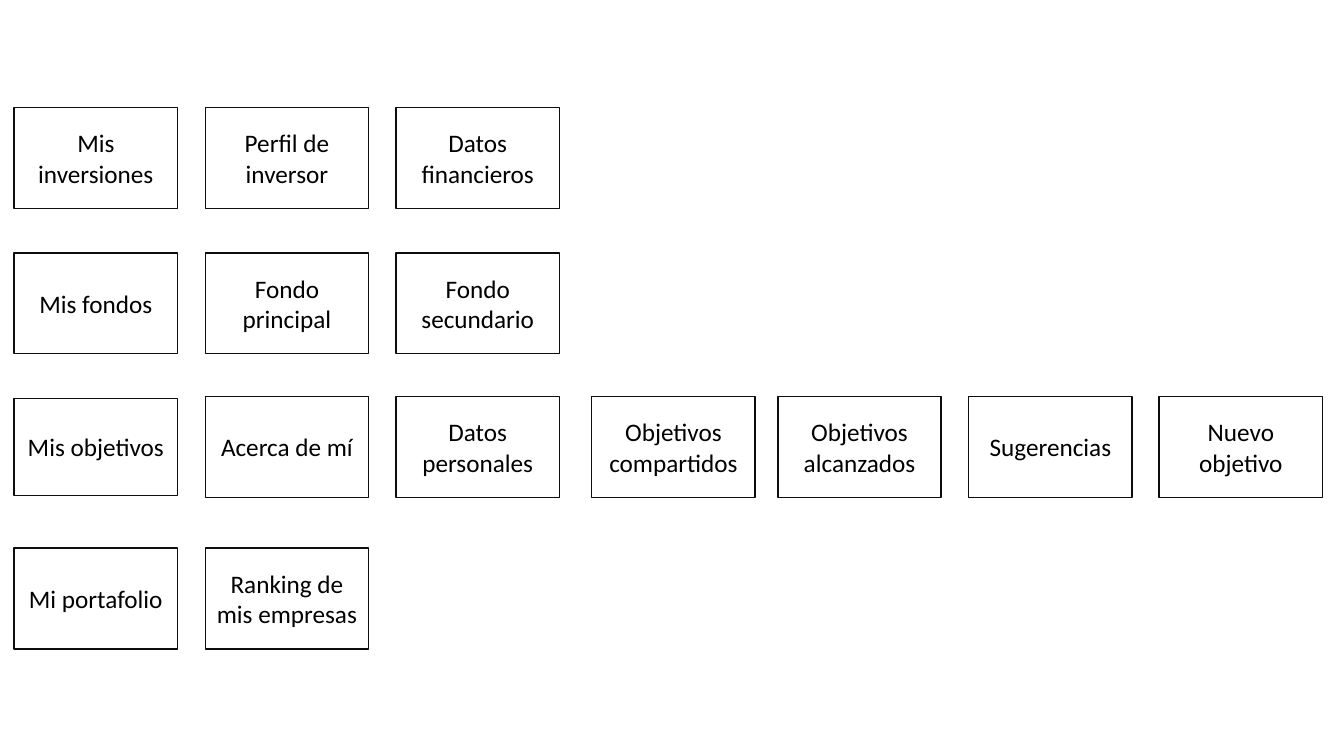
from dataclasses import dataclass

from pptx import Presentation
from pptx.dml.color import RGBColor
from pptx.enum.shapes import MSO_SHAPE
from pptx.enum.text import MSO_ANCHOR, PP_ALIGN
from pptx.slide import Slide
from pptx.util import Pt

RECTANGLE = MSO_SHAPE.RECTANGLE
MIDDLE = MSO_ANCHOR.MIDDLE
CENTER = PP_ALIGN.CENTER

BLACK = RGBColor(0x00, 0x00, 0x00)
OUTLINE = RGBColor(0x0D, 0x0D, 0x0D)

BOX_WIDTH = 116.7
BOX_HEIGHT = 72
COLUMN_LEFTS = (10.1, 146.6, 282.9, 422.7, 555.6, 692, 828)


@dataclass(frozen=True)
class MenuRow:
    top: float
    labels: tuple[str, ...]
    first_inset: float = 0


MENU_ROWS = (
    MenuRow(76.9, ("Mis inversiones", "Perfil de inversor", "Datos financieros")),
    MenuRow(180.7, ("Mis fondos", "Fondo principal", "Fondo secundario")),
    MenuRow(
        283.2,
        (
            "Mis objetivos",
            "Acerca de mí",
            "Datos personales",
            "Objetivos compartidos",
            "Objetivos alcanzados",
            "Sugerencias",
            "Nuevo objetivo",
        ),
        first_inset=1.4,
    ),
    MenuRow(391.5, ("Mi portafolio", "Ranking de mis empresas")),
)


def add_box(s: Slide, label: str, left: float, top: float, height: float) -> None:
    sp = s.shapes.add_shape(RECTANGLE, Pt(left), Pt(top), Pt(BOX_WIDTH), Pt(height))
    sp.shadow.inherit = False
    sp.fill.background()
    sp.line.color.rgb = OUTLINE
    sp.line.width = Pt(1)
    tf = sp.text_frame
    tf.word_wrap = True
    tf.vertical_anchor = MIDDLE
    p = tf.paragraphs[0]
    p.alignment = CENTER
    r = p.add_run()
    r.text = label
    r.font.name = "Calibri"
    r.font.size = Pt(18)
    r.font.color.rgb = BLACK


def add_menu_row(s: Slide, row: MenuRow) -> None:
    for column, (left, label) in enumerate(zip(COLUMN_LEFTS, row.labels)):
        inset = row.first_inset if column == 0 else 0
        add_box(s, label, left, row.top + inset, BOX_HEIGHT - 2 * inset)


prs = Presentation()
prs.slide_width = Pt(960)
prs.slide_height = Pt(540)
s = prs.slides.add_slide(prs.slide_layouts[6])
for menu_row in MENU_ROWS:
    add_menu_row(s, menu_row)
prs.save("out.pptx")
